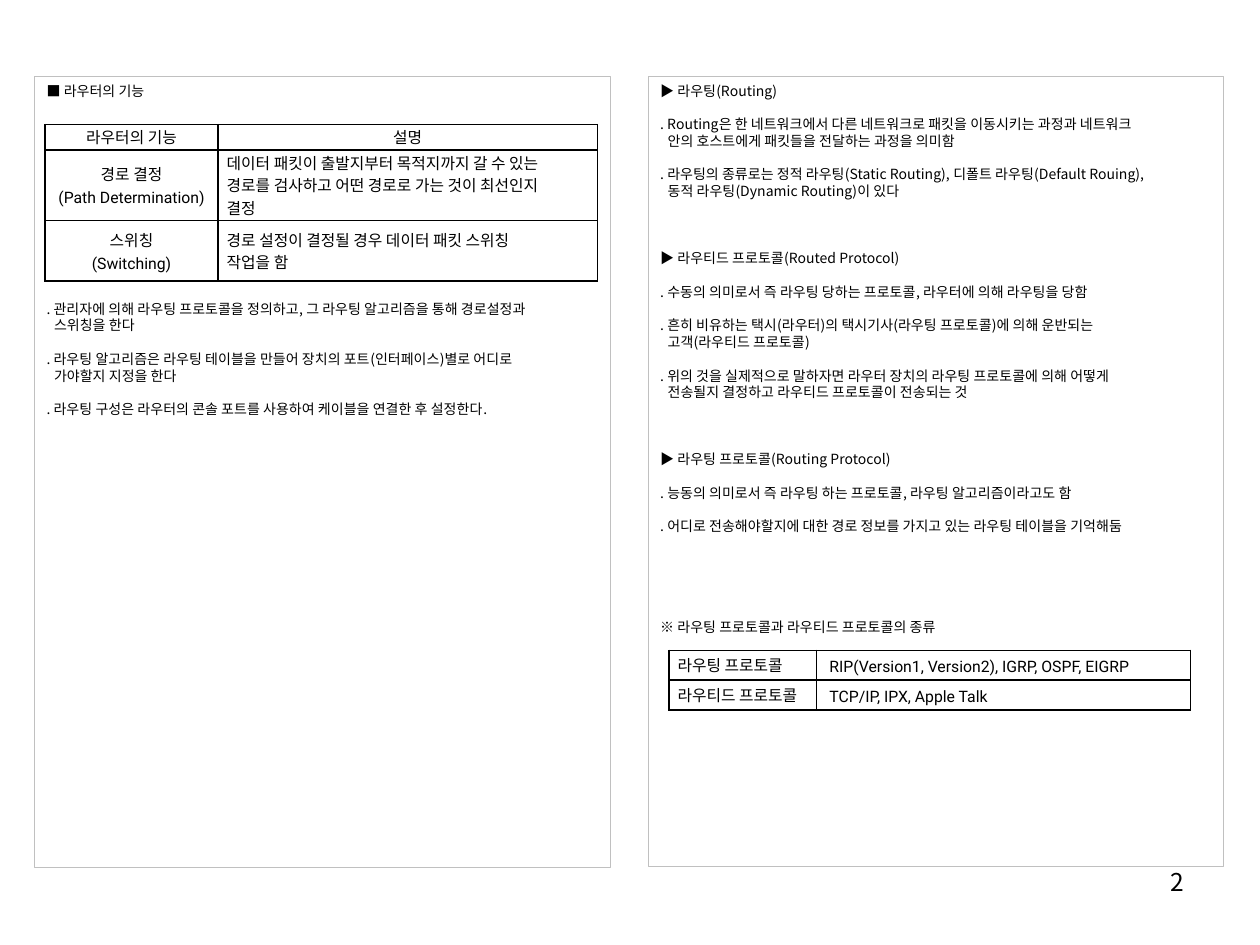
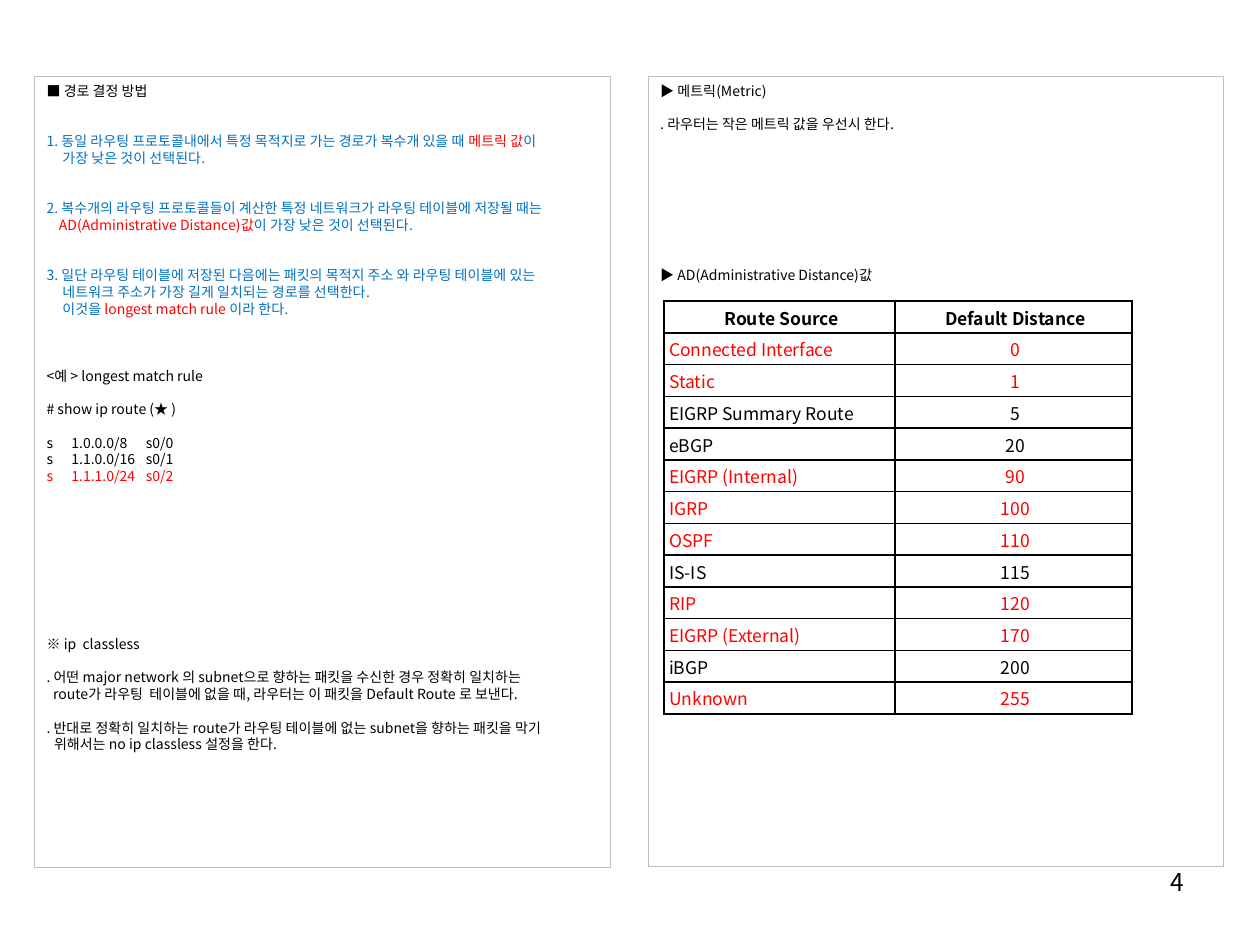
from dataclasses import dataclass

from lxml.etree import SubElement as Sub
from pptx import Presentation
from pptx.dml.color import RGBColor as Rgb
from pptx.enum.shapes import MSO_SHAPE as Form
from pptx.enum.text import MSO_ANCHOR as Anchor, PP_ALIGN as Align
from pptx.oxml.ns import qn
from pptx.util import Cm, Pt

TONES = {"ink": "000000", "red": "FF0000", "blue": "0070C0",
         "edge": "C0C0C0", "paper": "FFFFFF"}
SANS, LATIN = "Noto Sans CJK KR", "Roboto"
LEAD = 9.58  # line pitch of the notes, in points


@dataclass
class Line:
    """One line of notes; text between bars is red."""
    text: str
    gap: int = 0  # empty lines above
    pad: float = 0  # left indent, cm
    tone: str = "ink"
    tabs: tuple = ()


class Deck:
    def __init__(self):
        self.prs = Presentation()
        self.prs.slide_width, self.prs.slide_height = Cm(25.4), Cm(19.05)
        self.slide = None

    def page(self, num, left, right):
        """Start a slide with two note panels and a page number."""
        self.slide = self.prs.slides.add_slide(self.prs.slide_layouts[6])
        self.panel(0.69, 15.95, left)
        self.number(num)
        self.panel(13.06, 15.93, right)

    def style(self, para, size, tone="ink", face=SANS, bold=False):
        font = para.font
        font.name, font.size, font.bold = face, Pt(size), bold
        font.color.rgb = Rgb.from_string(TONES[tone])
        base = para._p.pPr.find(qn("a:defRPr"))
        Sub(base, qn("a:ea")).set("typeface", SANS)
        return base

    def panel(self, x, high, lines):
        box = self.slide.shapes.add_shape(
            Form.RECTANGLE, Cm(x), Cm(1.53), Cm(11.61), Cm(high))
        box.shadow.inherit = False
        box.fill.background()
        box.line.color.rgb = Rgb.from_string(TONES["edge"])
        box.line.width = Pt(0.25)
        frame = box.text_frame
        frame.word_wrap, frame.vertical_anchor = True, Anchor.TOP
        for i, line in enumerate(lines):
            para = frame.add_paragraph() if i else frame.paragraphs[0]
            self.note(para, line)

    def note(self, para, line):
        para.alignment = Align.LEFT
        para.line_spacing = Pt(LEAD)
        para.space_before = Pt(LEAD * line.gap)
        base = self.style(para, 8, line.tone)
        para._p.pPr.set("marL", str(Cm(line.pad)))
        if line.tabs:
            stops = Sub(para._p.pPr, qn("a:tabLst"))
            for stop in line.tabs:
                Sub(stops, qn("a:tab"), pos=str(Cm(stop)), algn="l")
            base.addprevious(stops)
        for i, part in enumerate(line.text.split("|")):
            if part:
                run = para.add_run()
                run.text = part
                if i % 2:
                    run.font.color.rgb = Rgb.from_string(TONES["red"])

    def number(self, num):
        box = self.slide.shapes.add_textbox(Cm(18.21), Cm(17.35), Cm(5.92), Cm(1.32))
        box.text_frame.word_wrap = True
        para = box.text_frame.paragraphs[0]
        para.text, para.alignment = str(num), Align.RIGHT
        self.style(para, 14)

    def grid(self, x, y, cols, rows, data, look):
        """Add a ruled table; look(row, col) gives the style of a cell."""
        table = self.slide.shapes.add_table(
            len(rows), len(cols), Cm(x), Cm(y), Cm(sum(cols)), Cm(sum(rows))).table
        table.first_row = table.horz_banding = False
        for col, wide in zip(table.columns, cols):
            col.width = Cm(wide)
        for r, high in enumerate(rows):
            table.rows[r].height = Cm(high)
            for c, text in enumerate(data[r]):
                self.cell(table.cell(r, c), text, **look(r, c))

    def cell(self, cell, text, size=9, face=LATIN, tone="ink", bold=False,
             mid=False, pad=0.03, edge=(0.03, 0.03), lead=12.7, fill=None):
        cell.text, cell.vertical_anchor = text, Anchor.MIDDLE
        cell.margin_left, cell.margin_right = Cm(pad), Cm(0.03)
        cell.margin_top, cell.margin_bottom = map(Cm, edge)
        for para in cell.text_frame.paragraphs:
            para.alignment = Align.CENTER if mid else Align.LEFT
            if lead:
                para.line_spacing = Pt(lead)
            self.style(para, size, tone, face, bold)
        # Borders go before the fill
        props = cell._tc.get_or_add_tcPr()
        for side in "LRTB":
            rule = Sub(props, qn(f"a:ln{side}"), w=str(Pt(1)))
            Sub(Sub(rule, qn("a:solidFill")), qn("a:srgbClr"), val=TONES["ink"])
        if fill:
            cell.fill.solid()
            cell.fill.fore_color.rgb = Rgb.from_string(TONES[fill])
        else:
            cell.fill.background()


def router(deck):
    """Router functions and routing protocols."""
    left = [
        Line("■ 라우터의 기능"),
        Line(". 관리자에 의해 라우팅 프로토콜을 정의하고, 그 라우팅 알고리즘을 통해 경로설정과", 12),
        Line("스위칭을 한다", pad=0.15),
        Line(". 라우팅 알고리즘은 라우팅 테이블을 만들어 장치의 포트(인터페이스)별로 어디로", 1),
        Line("가야할지 지정을 한다", pad=0.15),
        Line(". 라우팅 구성은 라우터의 콘솔 포트를 사용하여 케이블을 연결한 후 설정한다.", 1),
    ]
    right = [
        Line("▶ 라우팅(Routing)"),
        Line(". Routing은 한 네트워크에서 다른 네트워크로 패킷을 이동시키는 과정과 네트워크", 1),
        Line("안의 호스트에게 패킷들을 전달하는 과정을 의미함", pad=0.15),
        Line(". 라우팅의 종류로는 정적 라우팅(Static Routing), 디폴트 라우팅(Default Rouing),", 1),
        Line("동적 라우팅(Dynamic Routing)이 있다", pad=0.15),
        Line("▶ 라우티드 프로토콜(Routed Protocol)", 3),
        Line(". 수동의 의미로서 즉 라우팅 당하는 프로토콜, 라우터에 의해 라우팅을 당함", 1),
        Line(". 흔히 비유하는 택시(라우터)의 택시기사(라우팅 프로토콜)에 의해 운반되는", 1),
        Line("고객(라우티드 프로토콜)", pad=0.15),
        Line(". 위의 것을 실제적으로 말하자면 라우터 장치의 라우팅 프로토콜에 의해 어떻게", 1),
        Line("전송될지 결정하고 라우티드 프로토콜이 전송되는 것", pad=0.15),
        Line("▶ 라우팅 프로토콜(Routing Protocol)", 3),
        Line(". 능동의 의미로서 즉 라우팅 하는 프로토콜, 라우팅 알고리즘이라고도 함", 1),
        Line(". 어디로 전송해야할지에 대한 경로 정보를 가지고 있는 라우팅 테이블을 기억해둠", 1),
        Line("※ 라우팅 프로토콜과 라우티드 프로토콜의 종류", 5),
    ]
    deck.page(2, left, right)

    # Function table
    tasks = [
        ("라우터의 기능", "설명"),
        ("경로 결정\n(Path Determination)",
         "데이터 패킷이 출발지부터 목적지까지 갈 수 있는\n"
         "경로를 검사하고 어떤 경로로 가는 것이 최선인지\n결정"),
        ("스위칭\n(Switching)", "경로 설정이 결정될 경우 데이터 패킷 스위칭\n작업을 함"),
    ]

    def task(r, c):
        mid = r == 0 or c == 0
        return {"mid": mid, "pad": 0.03 if mid else 0.18}

    deck.grid(0.91, 2.51, (3.48, 7.65), (0.51, 1.43, 1.21), tasks, task)

    # Protocol table
    kinds = [
        ("라우팅 프로토콜", "RIP(Version1, Version2), IGRP, OSPF, EIGRP"),
        ("라우티드 프로토콜", "TCP/IP, IPX, Apple Talk"),
    ]
    deck.grid(13.49, 13.11, (2.97, 7.54), (0.6, 0.6), kinds,
              lambda r, c: {"pad": (0.17, 0.26)[c]})


def choice(deck):
    """Path choice and administrative distance."""
    tabs = (0.5, 2)
    left = [
        Line("■ 경로 결정 방법"),
        Line("1. 동일 라우팅 프로토콜내에서 특정 목적지로 가는 경로가 복수개 있을 때 |메트릭 값|이",
             2, tone="blue"),
        Line("가장 낮은 것이 선택된다.", pad=0.32, tone="blue"),
        Line("2. 복수개의 라우팅 프로토콜들이 계산한 특정 네트워크가 라우팅 테이블에 저장될 때는",
             2, tone="blue"),
        Line("|AD(Administrative Distance)값|이 가장 낮은 것이 선택된다.", pad=0.25, tone="blue"),
        Line("3. 일단 라우팅 테이블에 저장된 다음에는 패킷의 목적지 주소 와 라우팅 테이블에 있는",
             2, tone="blue"),
        Line("네트워크 주소가 가장 길게 일치되는 경로를 선택한다.", pad=0.32, tone="blue"),
        Line("이것을 |longest match rule |이라 한다.", pad=0.32, tone="blue"),
        Line("<예 > longest match rule", 3),
        Line("# show ip route (★ )", 1),
        Line("s\t1.0.0.0/8\ts0/0", 1, tabs=tabs),
        Line("s\t1.1.0.0/16\ts0/1", tabs=tabs),
        Line("s\t1.1.1.0/24\ts0/2", tone="red", tabs=tabs),
        Line("※ ip  classless", 9),
        Line(". 어떤 major network 의 subnet으로 향하는 패킷을 수신한 경우 정확히 일치하는", 1),
        Line("route가 라우팅  테이블에 없을 때, 라우터는 이 패킷을 Default Route 로 보낸다.", pad=0.13),
        Line(". 반대로 정확히 일치하는 route가 라우팅 테이블에 없는 subnet을 향하는 패킷을 막기", 1),
        Line("위해서는 no ip classless 설정을 한다.", pad=0.15),
    ]
    right = [
        Line("▶ 메트릭(Metric)"),
        Line(". 라우터는 작은 메트릭 값을 우선시 한다.", 1),
        Line("▶ AD(Administrative Distance)값", 8),
    ]
    deck.page(4, left, right)

    # Distance table
    costs = [
        ("Route Source", "Default Distance"),
        ("Connected Interface", "0"), ("Static", "1"),
        ("EIGRP Summary Route", "5"), ("eBGP", "20"),
        ("EIGRP (Internal)", "90"), ("IGRP", "100"), ("OSPF", "110"),
        ("IS-IS", "115"), ("RIP", "120"), ("EIGRP (External)", "170"),
        ("iBGP", "200"), ("Unknown", "255"),
    ]
    plain = {0, 3, 4, 8, 11}  # rows in black

    def cost(r, c):
        return {"size": 10, "face": SANS, "tone": "ink" if r in plain else "red",
                "bold": r == 0, "mid": r == 0 or c == 1, "pad": 0.1,
                "edge": (0.07, 0.05), "lead": None, "fill": "paper"}

    deck.grid(13.39, 6.07, (4.65, 4.78), [0.64] * len(costs), costs, cost)


def main():
    deck = Deck()
    router(deck)
    choice(deck)
    deck.prs.save("out.pptx")


if __name__ == "__main__":
    main()
